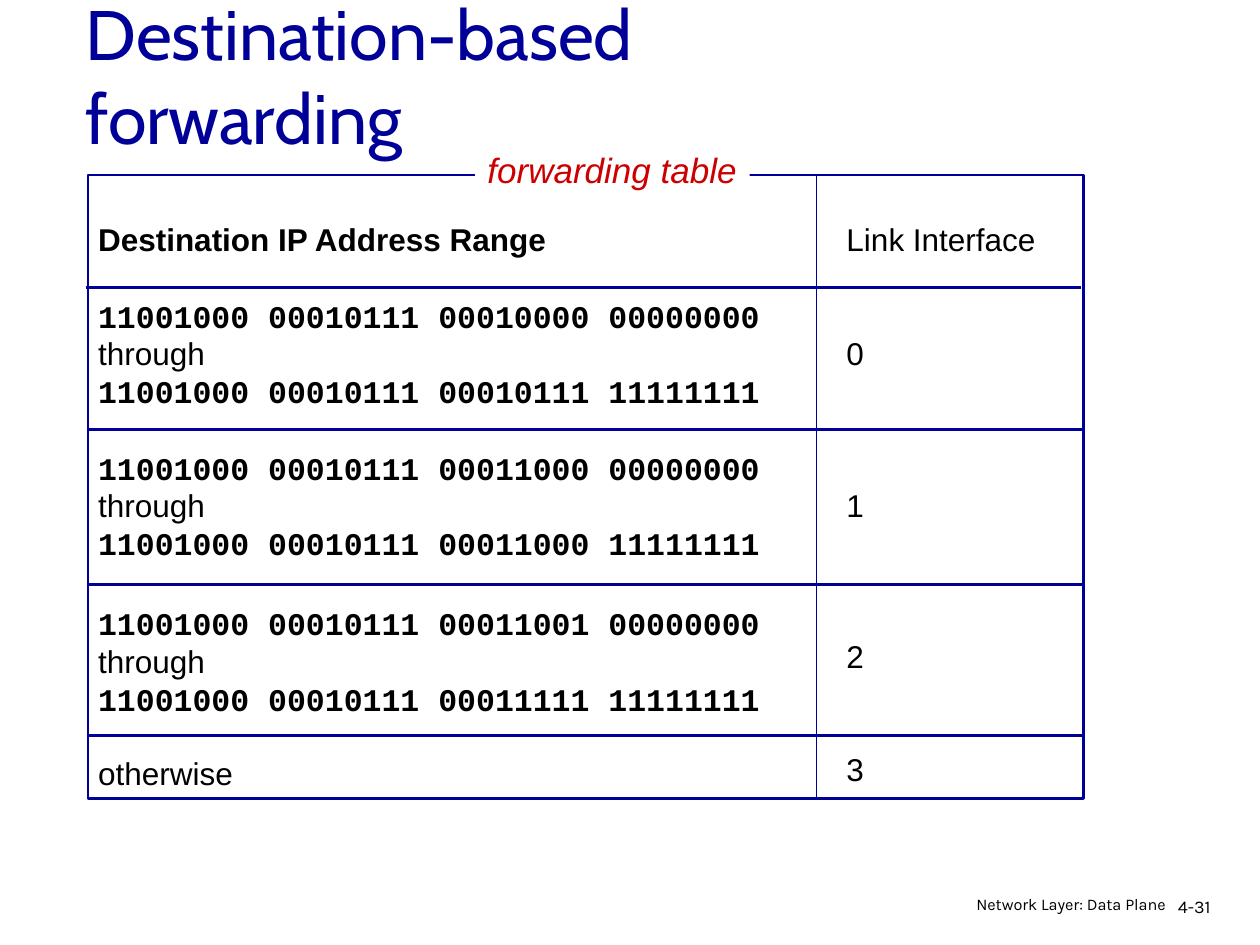
from pptx import Presentation
from pptx.dml.color import RGBColor
from pptx.enum.shapes import MSO_CONNECTOR as Connector, MSO_SHAPE as Shape
from pptx.enum.text import MSO_ANCHOR as Anchor, PP_ALIGN as Align
from pptx.oxml.ns import qn
from pptx.util import Inches, Pt

NAVY, RED, BLACK, WHITE = "000099", "CC0000", "000000", "FFFFFF"
SANS, MONO, HEADING, FOOTER = "Arial", "Courier New", "Cabin", "Karla"

# First address, last address, and space before the range in points
RANGES = [
    ("11001000 00010111 00010000 00000000", "11001000 00010111 00010111 11111111", 22),
    ("11001000 00010111 00011000 00000000", "11001000 00010111 00011000 11111111", 22),
    ("11001000 00010111 00011001 00000000", "11001000 00010111 00011111 11111111", 24),
]
# Link number and space before it in points
LINKS = [("0", 43.5), ("1", 65), ("2", 65), ("3", 43)]
# Left, right and height of each row rule
ROW_RULES = [(0.68, 8.58, 2.28), (0.71, 8.61, 3.41), (0.71, 8.61, 4.64), (0.7, 8.6, 5.84)]


def color(value):
    return RGBColor.from_string(value)


def style(paragraph, name, size, value=BLACK, bold=False, italic=False):
    font = paragraph.font
    font.name, font.size = name, Pt(size)
    font.bold, font.italic = bold, italic
    font.color.rgb = color(value)


def add_box(slide, left, top, width, height, wrap=True):
    box = slide.shapes.add_textbox(Inches(left), Inches(top), Inches(width), Inches(height))
    box.text_frame.word_wrap = wrap
    return box


def add_label(slide, text, place, name, size, value=BLACK, italic=False, wrap=True):
    box = add_box(slide, *place, wrap=wrap)
    paragraph = box.text_frame.paragraphs[0]
    paragraph.text = text
    style(paragraph, name, size, value, italic=italic)
    return box


def add_column(slide, place, lines):
    """Fill one column with (text, font, bold, space before) lines."""
    frame = add_box(slide, *place).text_frame
    for index, (text, name, bold, gap) in enumerate(lines):
        paragraph = frame.add_paragraph() if index else frame.paragraphs[0]
        paragraph.text = text
        paragraph.alignment = Align.JUSTIFY
        paragraph.space_before = Pt(gap)
        style(paragraph, name, 18, bold=bold)


def add_rule(slide, start_x, start_y, end_x, end_y, width):
    rule = slide.shapes.add_connector(
        Connector.STRAIGHT, Inches(start_x), Inches(start_y), Inches(end_x), Inches(end_y))
    rule.line.color.rgb = color(NAVY)
    rule.line.width = Pt(width)
    properties = rule.element.spPr
    properties.append(properties.makeelement(qn("a:effectLst"), {}))


def add_frame(slide, left, top, width, height):
    frame = slide.shapes.add_shape(
        Shape.RECTANGLE, Inches(left), Inches(top), Inches(width), Inches(height))
    frame.shadow.inherit = False
    frame.fill.background()
    frame.line.color.rgb = color(NAVY)
    frame.line.width = Pt(1.5)


def set_title(slide, text):
    title = slide.shapes.title
    title.left, title.top = Inches(0.58), Inches(0.12)
    title.width, title.height = Inches(6.98), Inches(0.94)
    title.text_frame.text = text
    title.text_frame.word_wrap = True
    title.text_frame.vertical_anchor = Anchor.MIDDLE
    paragraph = title.text_frame.paragraphs[0]
    paragraph.alignment = Align.LEFT
    style(paragraph, HEADING, 40, NAVY)


def main():
    presentation = Presentation()
    presentation.slide_width, presentation.slide_height = Inches(10), Inches(7.5)
    slide = presentation.slides.add_slide(presentation.slide_layouts[5])
    set_title(slide, "Destination-based forwarding")

    # Text columns of the forwarding table
    addresses = [("Destination IP Address Range", SANS, True, 0)]
    for first, last, gap in RANGES:
        addresses += [(first, MONO, True, gap), ("through", SANS, False, 0),
                      (last, MONO, True, 0)]
    addresses.append(("otherwise", SANS, False, 21))
    add_column(slide, (0.68, 1.7, 5.75, 4.64), addresses)
    links = [("Link Interface", SANS, False, 0)]
    links += [(number, SANS, False, gap) for number, gap in LINKS]
    add_column(slide, (6.62, 1.7, 1.9, 4.64), links)

    # Frame and rules
    add_frame(slide, 0.7, 1.39, 7.9, 4.95)
    for left, right, height in ROW_RULES:
        add_rule(slide, left, height, right, height, 1.5)
    add_rule(slide, 6.48, 1.4, 6.48, 6.34, 1)

    # Caption that interrupts the top edge
    caption = add_label(slide, "forwarding table", (3.77, 1.13, 2.18, 0.44),
                        SANS, 20, RED, italic=True, wrap=False)
    caption.fill.solid()
    caption.fill.fore_color.rgb = color(WHITE)

    # Footer
    number = add_label(slide, "4-31", (9.25, 7.08, 0.61, 0.3), FOOTER, 10.2)
    number.text_frame.paragraphs[0].line_spacing = 0.9
    chapter = add_label(slide, "Network Layer: Data Plane", (6.97, 7.08, 2.38, 0.26),
                        FOOTER, 9.3)
    chapter.text_frame.paragraphs[0].alignment = Align.RIGHT
    chapter.text_frame.paragraphs[0].line_spacing = 0.8

    presentation.save("out.pptx")


if __name__ == "__main__":
    main()
